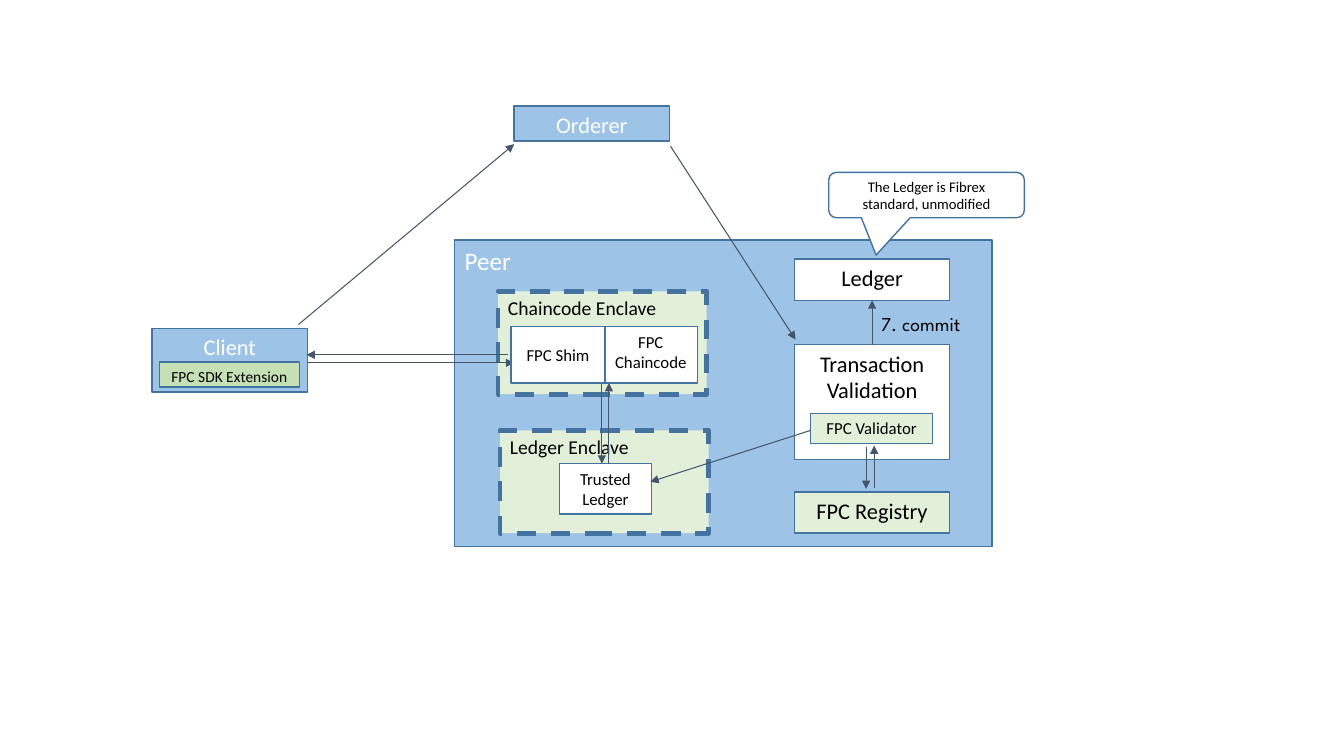
"""Build a slide showing the FPC architecture: client, orderer and peer."""
from lxml.etree import SubElement
from pptx import Presentation
from pptx.dml.color import RGBColor
from pptx.enum.dml import MSO_LINE
from pptx.enum.shapes import MSO_CONNECTOR, MSO_SHAPE
from pptx.enum.text import MSO_ANCHOR, PP_ALIGN
from pptx.oxml.ns import qn
from pptx.util import Inches, Pt

COLORS = {
    "blue": "9DC3E6",
    "pale green": "E2F0D9",
    "green": "C5E0B4",
    "white": "FFFFFF",
    "black": "000000",
    "border": "43739E",
    "arrow": "44546A",
}

deck = Presentation()
deck.slide_width, deck.slide_height = Inches(13.33), Inches(7.5)
page = deck.slides.add_slide(deck.slide_layouts[6])


def add_box(label, bounds, fill, size, align=PP_ALIGN.CENTER,
            anchor=MSO_ANCHOR.TOP, kind=MSO_SHAPE.RECTANGLE):
    box = page.shapes.add_shape(kind, *map(Inches, bounds))
    box.shadow.inherit = False
    box.fill.solid()
    box.fill.fore_color.rgb = RGBColor.from_string(COLORS[fill])
    box.line.color.rgb = RGBColor.from_string(COLORS["border"])
    box.line.width = Pt(1)
    frame = box.text_frame
    frame.text = label
    frame.word_wrap = True
    frame.vertical_anchor = anchor
    para = frame.paragraphs[0]
    para.alignment = align
    font = para.runs[0].font
    font.name, font.size = "Calibri", Pt(size)
    text_color = "white" if fill == "blue" else "black"
    font.color.rgb = RGBColor.from_string(COLORS[text_color])
    return box


def add_arrow(start, end):
    arrow = page.shapes.add_connector(
        MSO_CONNECTOR.STRAIGHT, *map(Inches, start + end))
    arrow.line.color.rgb = RGBColor.from_string(COLORS["arrow"])
    arrow.line.width = Pt(0.75)
    SubElement(arrow.line._get_or_add_ln(), qn("a:tailEnd"), type="triangle")
    SubElement(arrow._element.spPr, qn("a:effectLst"))


add_box("Peer", (4.51, 2.38, 5.33, 3.04), "blue", 18, PP_ALIGN.LEFT)

for label, left, top in [("Chaincode Enclave", 4.94, 2.89),
                         ("Ledger Enclave", 4.96, 4.27)]:
    enclave = add_box(label, (left, top, 2.07, 1.02), "pale green", 14, PP_ALIGN.LEFT)
    enclave.line.width = Pt(3.5)
    enclave.line.dash_style = MSO_LINE.DASH

node_width = 1.54
for label, left, top, height, fill in [
    ("Orderer", 5.1, 1.05, 0.35, "blue"),
    ("Client", 1.51, 3.26, 0.63, "blue"),
    ("Ledger", 7.88, 2.57, 0.41, "white"),
    ("Transaction Validation", 7.88, 3.42, 1.14, "white"),
    ("FPC Registry", 7.88, 4.88, 0.41, "pale green"),
]:
    add_box(label, (left, top, node_width, height), fill, 16)

add_box("FPC SDK Extension", (1.58, 3.59, 1.39, 0.25), "green", 11)
add_box("FPC Validator", (8.04, 4.1, 1.21, 0.3), "pale green", 12)
add_box("Trusted Ledger", (5.55, 4.6, 0.91, 0.5), "white", 12)

for start, end in [
    ((3.05, 3.6), (5.1, 3.6)),
    ((5.04, 3.52), (3.04, 3.52)),
    ((2.96, 3.22), (5.1, 1.43)),
    ((6.65, 1.45), (7.89, 3.37)),
    ((8.65, 3.42), (8.65, 2.98)),
    ((8.59, 4.43), (8.59, 4.85)),
    ((8.67, 4.84), (8.67, 4.42)),
    ((5.97, 3.8), (5.97, 4.6)),
    ((6.04, 4.6), (6.04, 3.8)),
    ((8.04, 4.27), (6.45, 4.78)),
]:
    add_arrow(start, end)

add_box("FPC Chaincode", (5.99, 3.24, 0.93, 0.56), "white", 12)
add_box("FPC Shim", (5.07, 3.24, 0.93, 0.56), "white", 12, anchor=MSO_ANCHOR.MIDDLE)

callout = add_box("The Ledger is Fibrex standard, unmodified",
                  (8.22, 1.71, 1.94, 0.45), "white", 10.5,
                  anchor=MSO_ANCHOR.MIDDLE,
                  kind=MSO_SHAPE.ROUNDED_RECTANGULAR_CALLOUT)
for index, value in enumerate((-0.258, 1.324, 0.167)):
    callout.adjustments[index] = value

commit = page.shapes.add_textbox(*map(Inches, (8.64, 2.99, 1.11, 0.29)))
frame = commit.text_frame
frame.text = "7. commit"
frame.word_wrap = True
frame.margin_left = frame.margin_right = Inches(0.1)
frame.margin_top = frame.margin_bottom = Inches(0.1)
span = frame.paragraphs[0].runs[0]
span.font.name, span.font.size = "League Spartan", Pt(14)
span.font.color.rgb = RGBColor.from_string(COLORS["black"])

deck.save("out.pptx")
